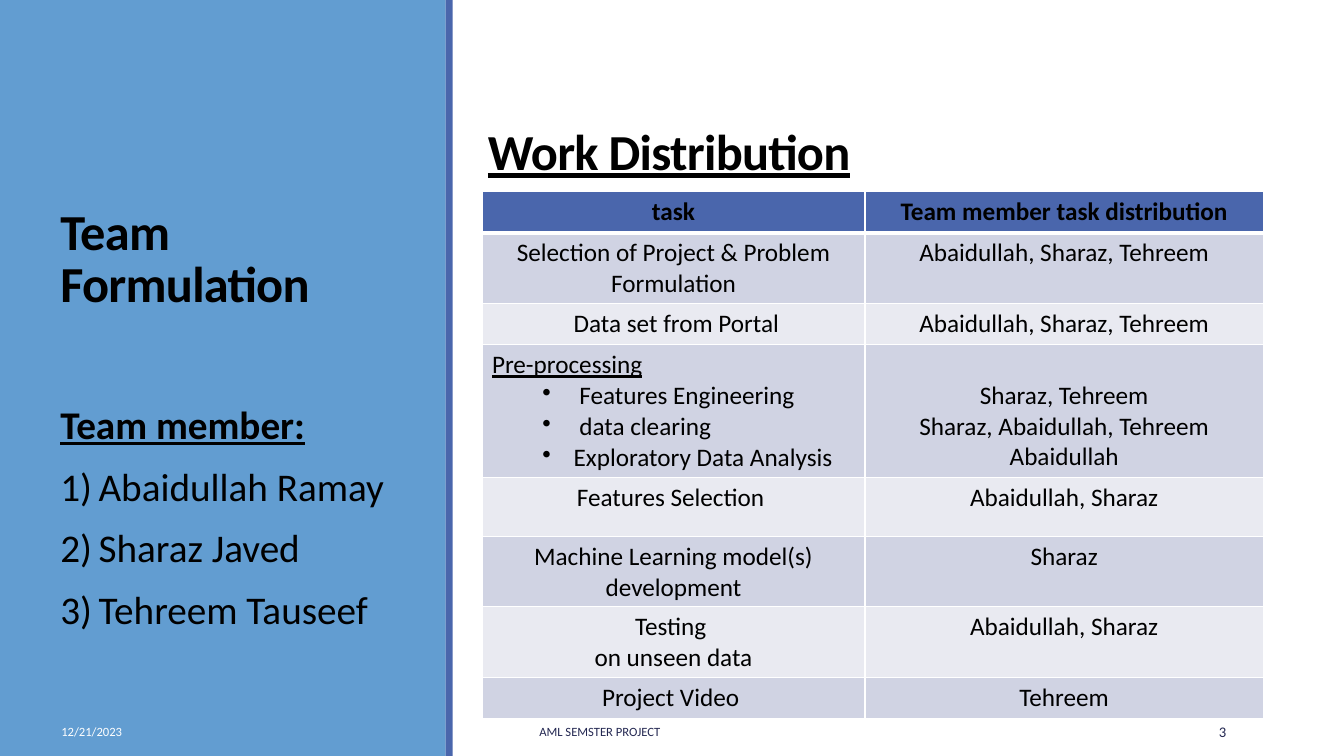
from lxml import etree
from pptx import Presentation
from pptx.dml.color import RGBColor
from pptx.enum.shapes import MSO_SHAPE
from pptx.enum.text import MSO_ANCHOR, PP_ALIGN
from pptx.oxml.ns import qn
from pptx.util import Emu, Inches, Pt

RECTANGLE = MSO_SHAPE.RECTANGLE
LEFT, CENTER, RIGHT = PP_ALIGN.LEFT, PP_ALIGN.CENTER, PP_ALIGN.RIGHT
TOP, MIDDLE, BOTTOM = MSO_ANCHOR.TOP, MSO_ANCHOR.MIDDLE, MSO_ANCHOR.BOTTOM

BLACK = RGBColor(0x00, 0x00, 0x00)
WHITE = RGBColor(0xFF, 0xFF, 0xFF)
NAVY = RGBColor(0x24, 0x28, 0x52)
SKY = RGBColor(0x62, 0x9D, 0xD1)
INDIGO = RGBColor(0x4A, 0x66, 0xAC)
BAND_DARK = RGBColor(0xD0, 0xD3, 0xE3)
BAND_LIGHT = RGBColor(0xE9, 0xEA, 0xF1)

FONT = "Calibri"
PAGE_WIDTH, PAGE_HEIGHT = 13.33, 7.5
PANEL_WIDTH = 4.42
MEMBERS = ["Abaidullah Ramay", "Sharaz Javed", "Tehreem Tauseef"]
STEPS = [" Features Engineering", " data clearing", "Exploratory Data Analysis"]
COLUMN_WIDTHS = [3.8, 3.95]
# Row height, task lines, member lines
ROWS = [
    (0.41, ["task"], ["Team member task distribution"]),
    (0.7, ["Selection of Project & Problem Formulation"], ["Abaidullah, Sharaz, Tehreem"]),
    (0.41, [" Data set from Portal"], ["Abaidullah, Sharaz, Tehreem"]),
    (1.32, ["Pre-processing"] + STEPS,
     ["Sharaz, Tehreem", "Sharaz, Abaidullah, Tehreem", "Abaidullah"]),
    (0.58, ["Features Selection "], ["Abaidullah, Sharaz"]),
    (0.7, ["Machine Learning model(s) development"], ["Sharaz"]),
    (0.7, ["Testing \non unseen data"], ["Abaidullah, Sharaz"]),
    (0.41, ["Project Video "], ["Tehreem"]),
]


def add_span(para, text, size, color=BLACK, bold=False, underline=False, spacing=0):
    """Add text to a paragraph, with a line break at each newline."""
    for index, line in enumerate(text.split("\n")):
        if index:
            para.add_line_break()
        span = para.add_run()
        span.text = line
        font = span.font
        font.name, font.size, font.bold, font.underline = FONT, Pt(size), bold, underline
        font.color.rgb = color
        if spacing:
            font._element.set("spc", str(int(spacing * 100)))


def next_paragraph(frame, index):
    return frame.add_paragraph() if index else frame.paragraphs[0]


def set_bullet(para, margin, hanging, tag, **attributes):
    properties = para._p.get_or_add_pPr()
    properties.set("marL", str(Inches(margin)))
    properties.set("indent", str(-Inches(hanging)))
    etree.SubElement(properties, qn(tag), attributes)


def add_box(page, box, anchor=TOP):
    frame = page.shapes.add_textbox(*map(Inches, box)).text_frame
    frame.word_wrap = True
    frame.vertical_anchor = anchor
    return frame


def add_heading(page, box, text, underline=False):
    para = add_box(page, box, BOTTOM).paragraphs[0]
    para.line_spacing = 0.85
    add_span(para, text, 36, bold=True, underline=underline, spacing=-0.5)


def add_bar(page, box, color):
    bar = page.shapes.add_shape(RECTANGLE, *map(Inches, box))
    bar.shadow.inherit = False
    bar.fill.solid()
    bar.fill.fore_color.rgb = color
    bar.line.fill.background()


def add_team_panel(page, box):
    left, top, width, height = box
    add_bar(page, box, SKY)
    add_bar(page, (left + width, top, 0.07, height), INDIGO)
    text_left, text_width = left + 0.5, width - 0.92
    add_heading(page, (text_left, top + 0.65, text_width, 2.5), "Team \nFormulation")
    frame = add_box(page, (text_left, top + 3.89, text_width, 2.66))
    for index, text in enumerate(["Team member:"] + MEMBERS):
        para = next_paragraph(frame, index)
        para.line_spacing = 1.07
        para.space_after = Pt(8)
        is_label = index == 0
        add_span(para, text, 28, bold=is_label, underline=is_label)
        if not is_label:
            set_bullet(para, 0.38, 0.38, "a:buAutoNum", type="arabicParenR")


def set_borders(cell, widths):
    """Draw white borders; widths are points for left, right, top and bottom."""
    properties = cell._tc.get_or_add_tcPr()
    for index, (side, width) in enumerate(zip("LRTB", widths)):
        line = etree.Element(qn(f"a:ln{side}"), w=str(Pt(width)))
        fill = etree.SubElement(line, qn("a:solidFill"))
        etree.SubElement(fill, qn("a:srgbClr"), val=str(WHITE))
        properties.insert(index, line)


def fill_cell(cell, lines, row):
    is_header = row == 0
    has_steps = lines[1:] == STEPS
    cell.fill.solid()
    cell.fill.fore_color.rgb = INDIGO if is_header else BAND_DARK if row % 2 else BAND_LIGHT
    cell.vertical_anchor = BOTTOM if len(lines) > 1 else TOP
    set_borders(cell, (1, 1, 3 if row == 1 else 1, 3 if is_header else 1))
    for index, text in enumerate(lines):
        para = next_paragraph(cell.text_frame, index)
        para.alignment = LEFT if has_steps else CENTER
        add_span(para, text, 18, bold=is_header, underline=has_steps and index == 0)
        if has_steps and index:
            set_bullet(para, 0.81, 0.31, "a:buChar", char="•")


def add_work_table(page, box):
    table = page.shapes.add_table(len(ROWS), len(COLUMN_WIDTHS), *map(Inches, box)).table
    for column, width in zip(table.columns, COLUMN_WIDTHS):
        column.width = Inches(width)
    for row, (height, *cells) in enumerate(ROWS):
        table.rows[row].height = Inches(height)
        for column, lines in enumerate(cells):
            fill_cell(table.cell(row, column), lines, row)


def add_work_region(page, box):
    left, top, width, height = box
    add_heading(page, (left, top, 4.59, 0.76), "Work Distribution", underline=True)
    add_work_table(page, (left + 0.04, top + 0.82, width - 0.04, height - 0.82))


def add_footer(page, top, height):
    for left, width, text, size, color, alignment in [
        (0.51, 2.86, "12/21/2023", 9, WHITE, LEFT),
        (5.25, 5.08, "AML SEMSTER PROJECT", 9, NAVY, LEFT),
        (10.83, 1.43, "3", 10.5, NAVY, RIGHT),
    ]:
        para = add_box(page, (left, top, width, height), MIDDLE).paragraphs[0]
        para.alignment = alignment
        add_span(para, text, size, color)


def main():
    deck = Presentation()
    deck.slide_width, deck.slide_height = Emu(Inches(PAGE_WIDTH)), Emu(Inches(PAGE_HEIGHT))
    page = deck.slides.add_slide(deck.slide_layouts[6])
    add_team_panel(page, (0, 0, PANEL_WIDTH, PAGE_HEIGHT))
    add_footer(page, 7.06, 0.4)
    add_work_region(page, (4.74, 1.08, 7.79, 6.05))
    deck.save("out.pptx")


if __name__ == "__main__":
    main()
